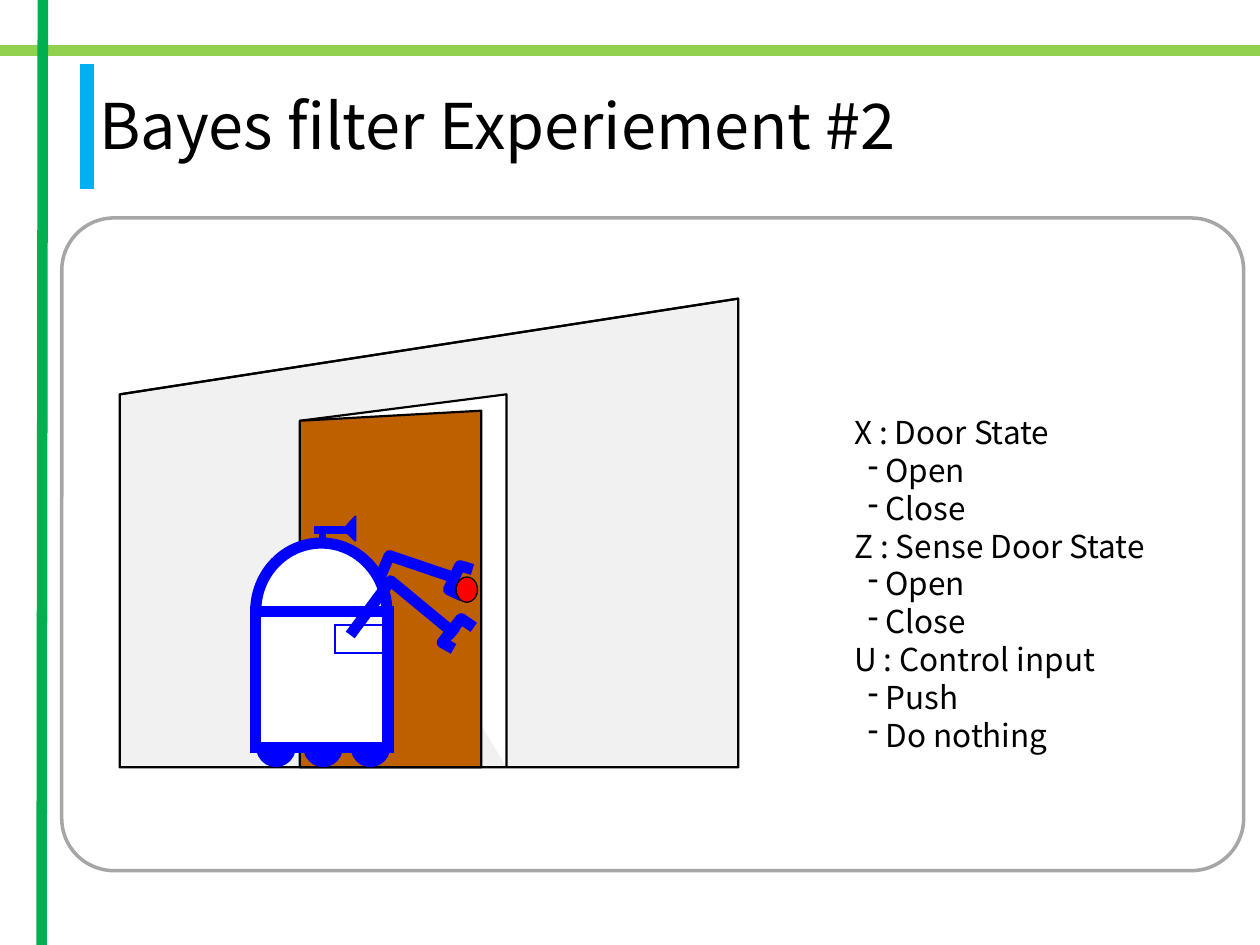
"""Build the Bayes filter slide: a robot pushing a door, beside its variables."""
from pptx import Presentation
from pptx.dml.color import RGBColor
from pptx.enum.shapes import MSO_CONNECTOR, MSO_SHAPE
from pptx.enum.text import MSO_ANCHOR, MSO_AUTO_SIZE
from pptx.oxml.ns import qn
from pptx.util import Inches, Pt

RECT, OVAL, ROUND = MSO_SHAPE.RECTANGLE, MSO_SHAPE.OVAL, MSO_SHAPE.ROUNDED_RECTANGLE
STRAIGHT = MSO_CONNECTOR.STRAIGHT
MIDDLE, TOP = MSO_ANCHOR.MIDDLE, MSO_ANCHOR.TOP
NO_FIT, GROW = MSO_AUTO_SIZE.NONE, MSO_AUTO_SIZE.SHAPE_TO_FIT_TEXT

THEME = {
    "font": "Noto Sans CJK KR", "title": 36, "body": 18,
    "ink": "000000", "lime": "92D050", "green": "00B050", "sky": "00B0F0",
    "frame": "A6A6A6", "wall": "F1F1F1", "white": "FFFFFF", "door": "BE5F00",
    "robot": "0000FF", "knob": "FF0000",
    "hair": 0.75, "thin": 1.25, "edge": 2, "limb": 6.38, "rule": 6, "bar": 8,
}

prs = Presentation()
prs.slide_width, prs.slide_height = Inches(10), Inches(7.5)
COL, ROW = prs.slide_width / 100, prs.slide_height / 75
s = prs.slides.add_slide(prs.slide_layouts[6])


def grid(*values):
    return [round(v * (ROW if i % 2 else COL)) for i, v in enumerate(values)]


def paint(sp, fill, line, width):
    if fill:
        sp.fill.solid()
        sp.fill.fore_color.rgb = RGBColor.from_string(THEME[fill])
    elif hasattr(sp, "fill"):
        sp.fill.background()
    if line:
        sp.line.color.rgb = RGBColor.from_string(THEME[line])
        sp.line.width = Pt(THEME[width])
    else:
        sp.line.fill.background()
    spPr = sp._element.spPr
    if hasattr(sp, "shadow"):
        sp.shadow.inherit = False
    else:
        spPr.append(spPr.makeelement(qn("a:effectLst"), {}))


FLOOR, LEFT, RIGHT = 60.9, 9.5, 58.6
HINGE, JAMB, DOOR_EDGE = 23.8, 40.2, 38.2
WALL_LEFT, WALL_RIGHT = (LEFT, 31.3), (RIGHT, 23.7)
HINGE_TOP, JAMB_TOP, JAMB_FOOT = (HINGE, 33.4), (JAMB, 31.3), (JAMB, FLOOR)
WHEELS = [(OVAL, (20.4 + 3.75 * i, 57.7, 3, 3.1), "robot", "robot", "thin")
          for i in range(3)]

parts = [
    ("line", (0, 4, 100, 4), None, "lime", "rule"),
    ("line", (3.4, 0, 3.3, 75), None, "green", "rule"),
    ("line", (6.9, 15, 6.9, 5.1), None, "sky", "bar"),
    (ROUND, (4.9, 17.3, 93.8, 51.8), None, "frame", "edge"),
    ("closed", [(LEFT, FLOOR), WALL_LEFT, WALL_RIGHT, (RIGHT, FLOOR)],
     "wall", "ink", "thin"),
    ("closed", [HINGE_TOP, JAMB_TOP, JAMB_FOOT], "white", None, None),
    ("open", [HINGE_TOP, JAMB_TOP, JAMB_FOOT], None, "ink", "thin"),
    ("closed", [(HINGE, FLOOR), HINGE_TOP, (DOOR_EDGE, 32.6), (DOOR_EDGE, FLOOR)],
     "door", "ink", "thin"),
    ("line", (LEFT, FLOOR, RIGHT, FLOOR), None, "ink", "thin"),
    ("line", (*WALL_LEFT, *WALL_RIGHT), None, "ink", "thin"),
    (RECT, (25.4, 42.2, 0.4, 1), "robot", "robot", "thin"),
    (RECT, (25, 41.8, 2.8, 0.5), "robot", "robot", "thin"),
    ("closed", [(27.3, 42), (28.2, 41), (28.2, 42.9)], "robot", "robot", "thin"),
    ("open", [(28.3, 50.2), (30.9, 44.1), (36.2, 45.9)], None, "robot", "limb"),
    (OVAL, (20.3, 43.1, 10.4, 10.8), "white", "robot", "limb"),
    *WHEELS,
    (RECT, (20.3, 48.5, 10.5, 10.8), "white", "robot", "limb"),
    (RECT, (26.6, 49.6, 4.2, 2.2), None, "robot", "thin"),
    ("open", [(27.8, 50.4), (31, 46.1), (36.2, 50.4)], None, "robot", "limb"),
    ("open", [(36, 51.5), (35.1, 51), (36.6, 49.1), (37.6, 49.8)],
     None, "robot", "limb"),
    ("open", [(36.7, 47.3), (35.6, 46.8), (36.5, 44.9), (37.5, 45.2)],
     None, "robot", "limb"),
    (OVAL, (36.2, 45.8, 1.7, 2), "knob", "ink", "hair"),
]

for kind, geometry, fill, line, width in parts:
    if kind == "line":
        sp = s.shapes.add_connector(STRAIGHT, *grid(*geometry))
    elif kind in ("open", "closed"):
        start, *rest = [grid(*point) for point in geometry]
        builder = s.shapes.build_freeform(*start)
        builder.add_line_segments(rest, close=kind == "closed")
        sp = builder.convert_to_shape()
    else:
        sp = s.shapes.add_shape(kind, *grid(*geometry))
    if kind == ROUND:
        sp.adjustments[0] = 0.08
    paint(sp, fill, line, width)
    if kind == RECT:
        ln = sp._element.spPr.find(qn("a:ln"))
        ln.append(ln.makeelement(qn("a:miter"), {"lim": "800000"}))

variables = {
    "X : Door State": ["Open", "Close"],
    "Z : Sense Door State": ["Open", "Close"],
    "U : Control input": ["Push", "Do nothing"],
}
lines = [(text, text not in variables)
         for name, values in variables.items() for text in (name, *values)]
boxes = [
    ((6.9, 4.8, 86.2, 10.9), [("Bayes filter Experiement #2", False)], "title", 0.9,
     {"word_wrap": True, "vertical_anchor": MIDDLE, "auto_size": NO_FIT}),
    ((66.8, 32.3, 29.2, 28), lines, "body", 1,
     {"word_wrap": True, "vertical_anchor": TOP, "auto_size": GROW}),
]

for place, paragraphs, size, spacing, frame in boxes:
    tf = s.shapes.add_textbox(*grid(*place)).text_frame
    for name, value in frame.items():
        setattr(tf, name, value)
    for i, (text, bulleted) in enumerate(paragraphs):
        p = tf.paragraphs[0] if i == 0 else tf.add_paragraph()
        p.line_spacing = spacing
        if bulleted:
            pPr = p._p.get_or_add_pPr()
            pPr.set("marL", str(round(2.5 * COL)))
            pPr.set("indent", str(round(-1.4 * COL)))
            pPr.append(pPr.makeelement(qn("a:buChar"), {"char": "-"}))
        r = p.add_run()
        r.text = text
        for name, value in {"name": THEME["font"], "size": Pt(THEME[size])}.items():
            setattr(r.font, name, value)
        r.font.color.rgb = RGBColor.from_string(THEME["ink"])

prs.save("out.pptx")
